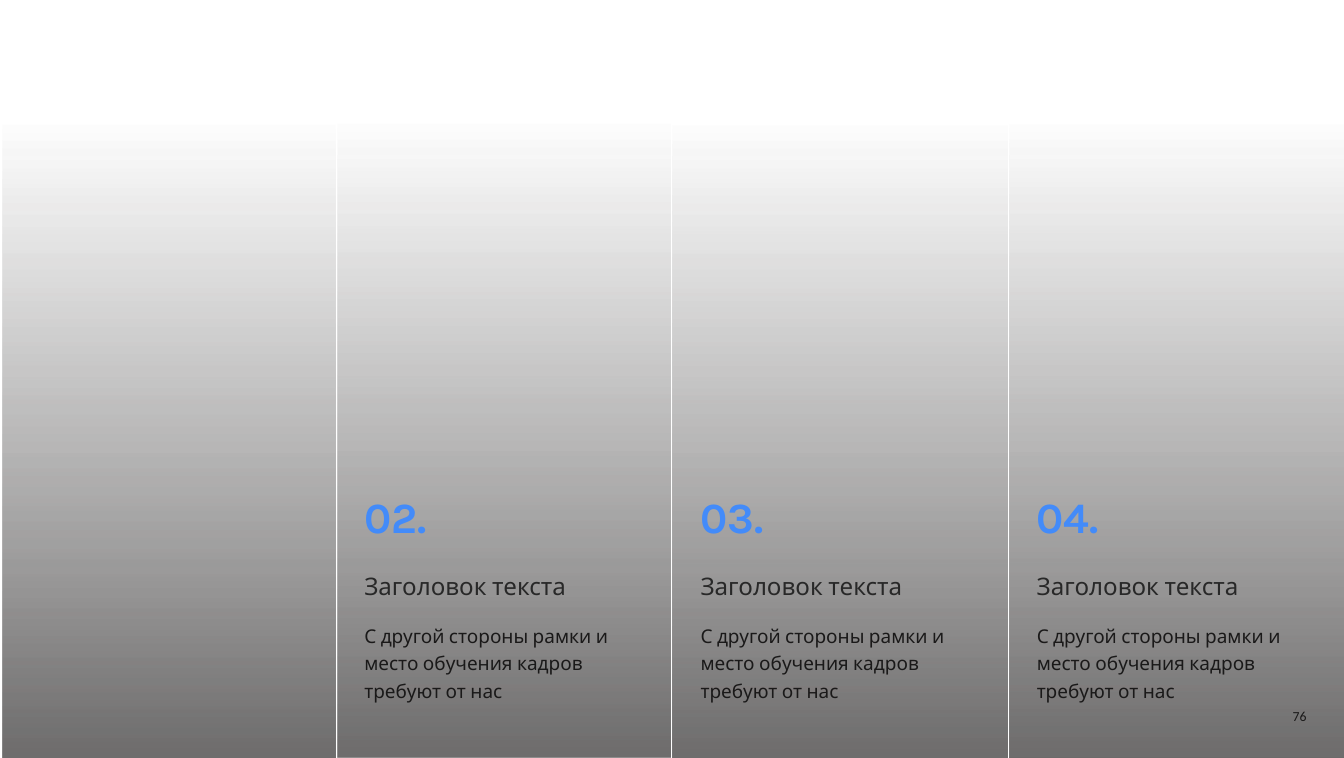
from dataclasses import dataclass

from lxml.etree import SubElement
from pptx import Presentation
from pptx.dml.color import RGBColor
from pptx.enum.shapes import MSO_SHAPE
from pptx.enum.text import MSO_ANCHOR, MSO_AUTO_SIZE, PP_ALIGN
from pptx.oxml.ns import qn
from pptx.shapes.autoshape import Shape
from pptx.slide import Slide
from pptx.util import Pt

COLORS = {"dark": "282828", "shade": "262424", "text": "1A1919", "blue": "438BF9"}


@dataclass(frozen=True)
class Panel:
    left: float
    top: float
    width: float


@dataclass(frozen=True)
class Stop:
    place: int
    color: str
    alpha: int


@dataclass(frozen=True)
class Style:
    size: int
    color: str
    font: str = "Karla"
    bold: bool = False
    line: int | None = None


@dataclass(frozen=True)
class Row:
    top: float
    width: float
    height: float
    style: Style


PANELS = [
    Panel(1170.9, 0.9, 389.5),
    Panel(779.6, 2.2, 389.5),
    Panel(391.7, 0.9, 386.1),
    Panel(2.9, 2.2, 385.9),
]
STOPS = [
    Stop(16, "dark", 0),
    Stop(37, "shade", 16),
    Stop(73, "shade", 44),
    Stop(100, "shade", 67),
]
NUMBER = Row(564.8, 302.4, 67.7, Style(50, "blue", bold=True))
HEAD = Row(654.1, 302.4, 44.6, Style(28, "dark", line=38))
BODY = Row(714.5, 325.4, 70.6, Style(22, "text", line=32))
PAGE = Style(16, "text", font="Calibri")
FIRST, STEP = 422.6, 390


def shade(shape: Shape) -> None:
    """Fill the shape from clear at the top to dark at the bottom."""
    shape.fill.gradient()
    shape.fill.gradient_angle = 270
    stops = shape.element.spPr.find(qn("a:gradFill")).find(qn("a:gsLst"))
    stops.clear()
    for stop in STOPS:
        node = SubElement(stops, qn("a:gs"), pos=str(stop.place * 1000))
        color = SubElement(node, qn("a:srgbClr"), val=COLORS[stop.color])
        SubElement(color, qn("a:alpha"), val=str(stop.alpha * 1000))


def add_panel(slide: Slide, panel: Panel) -> None:
    shape = slide.shapes.add_shape(
        MSO_SHAPE.RECTANGLE, Pt(panel.left), Pt(panel.top), Pt(panel.width), Pt(877)
    )
    shape.shadow.inherit = False
    shape.line.fill.background()
    shade(shape)


def add_text(slide: Slide, left: float, row: Row, text: str) -> Shape:
    box = slide.shapes.add_textbox(Pt(left), Pt(row.top), Pt(row.width), Pt(row.height))
    frame = box.text_frame
    frame.word_wrap = True
    frame.text = text
    para = frame.paragraphs[0]
    style = row.style
    if style.line:
        para.line_spacing = Pt(style.line)
    font = para.runs[0].font
    font.name, font.size, font.bold = style.font, Pt(style.size), style.bold
    font.color.rgb = RGBColor.from_string(COLORS[style.color])
    return box


def add_column(slide: Slide, left: float, number: str) -> None:
    texts = [
        (NUMBER, number),
        (HEAD, "Заголовок текста"),
        (BODY, "С другой стороны рамки и место обучения кадров требуют от нас"),
    ]
    for row, text in texts:
        frame = add_text(slide, left, row, text).text_frame
        frame.margin_left = 0
        frame.auto_size = MSO_AUTO_SIZE.SHAPE_TO_FIT_TEXT


def add_page(slide: Slide) -> None:
    frame = add_text(slide, 1438.6, Row(812.9, 84.2, 33.8, PAGE), "76").text_frame
    frame.vertical_anchor = MSO_ANCHOR.MIDDLE
    frame.paragraphs[0].alignment = PP_ALIGN.RIGHT


def main() -> None:
    deck = Presentation()
    deck.slide_width, deck.slide_height = Pt(1559), Pt(878.75)
    slide = deck.slides.add_slide(deck.slide_layouts[6])
    for panel in PANELS:
        add_panel(slide, panel)
    add_page(slide)
    for index, number in enumerate(["02.", "03.", "04."]):
        add_column(slide, FIRST + index * STEP, number)
    deck.save("out.pptx")


if __name__ == "__main__":
    main()
